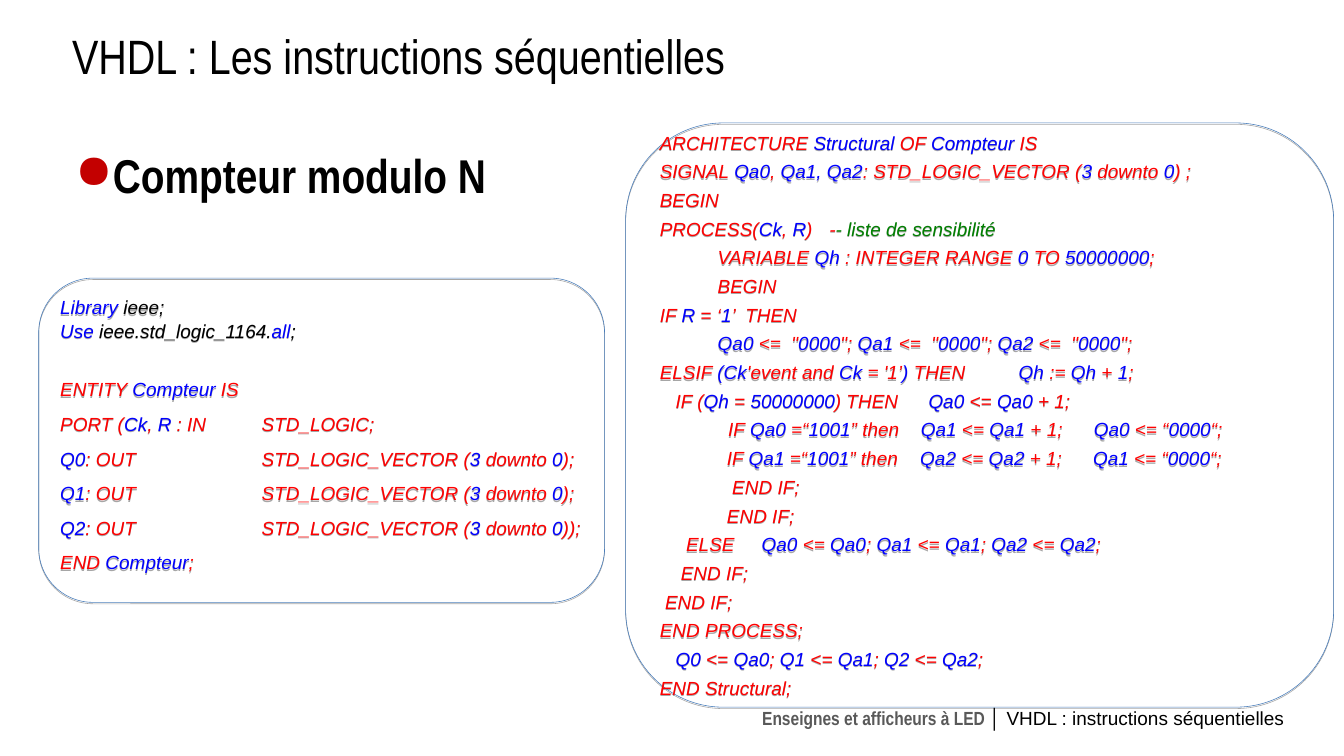
from itertools import cycle

from lxml import etree
from pptx import Presentation
from pptx import util as u
from pptx.dml.color import RGBColor
from pptx.enum import shapes, text
from pptx.oxml.ns import qn

INK = {"R": "FF0000", "B": "0000FF", "G": "008000", "K": "000000"}
PORT = "|: OUT\tSTD_LOGIC_VECTOR (|3| downto |0|"

# Each line: text with "|" at every colour change, then the colours taken in
# turn and the tab stops in cm where they differ from the usual ones.
ENTITY = [
    ("Library |ieee;", "BK"),
    ("Use |ieee.std_logic_1164.|all|;", "BK"),
    ("ENTITY |Compteur| IS",),
    ("PORT (|Ck|, |R| : IN\tSTD_LOGIC;", "RB", [9]),
    ("Q0" + PORT + ");", "BR", [9]),
    ("Q1" + PORT + ");", "BR", [9]),
    ("Q2" + PORT + "));", "BR", [9]),
    ("END |Compteur|;",),
]
ARCHI = [
    ("ARCHITECTURE |Structural| OF |Compteur| IS",),
    ("SIGNAL |Qa0|, |Qa1, Qa2|: STD_LOGIC_VECTOR (|3| downto |0|) ;",),
    ("BEGIN",),
    ("PROCESS(|Ck|, |R|)\t-|- liste de sensibilité", "RBRBRG", [7.57]),
    ("           VARIABLE |Qh| : INTEGER RANGE |0| TO |50000000|;",),
    ("           BEGIN",),
    ("IF |R| = ‘|1|’  THEN",),
    ('           |Qa0| <=  "|0000|"; |Qa1| <=  "|0000|"; |Qa2| <=  "|0000|";',),
    ("ELSIF |(Ck|'event and |Ck| = '1’|)| THEN\t|Qh| := |Qh| + |1|;", "RB", [16.03]),
    ("   IF (|Qh| = |50000000|) THEN\t|Qa0| <= |Qa0| + 1;", "RB", [12]),
    ("             IF |Qa0| =“|1001|” then\t|Qa1| <= |Qa1| + 1;\t|Qa0| <= “|0000|“;",
     "RB", [11.66, 19.38]),
    ("\tIF |Qa1| =“|1001|” then\t|Qa2| <= |Qa2| + 1;\t|Qa1| <= “|0000|“;",
     "RB", [3, 11.63, 19.35]),
    ("\t END IF;",),
    ("\tEND IF;",),
    ("     ELSE\t|Qa0| <= |Qa0|; |Qa1| <= |Qa1|; |Qa2| <= |Qa2|;", "RB", [4.55]),
    ("    END IF;",),
    (" END IF;",),
    ("END PROCESS;",),
    ("   |Q0| <= |Qa0|; |Q1| <= |Qa1|; |Q2| <= |Qa2|;",),
    ("END Structural;",),
]


def tint(code):
    return RGBColor.from_string(code)


def child(node, tag, **attrs):
    return etree.SubElement(node, qn(tag), {k: str(v) for k, v in attrs.items()})


class Deck:
    head, body = "Arial Narrow", "Arial"

    def __init__(self, wide, high):
        self.file = Presentation()
        self.file.slide_width, self.file.slide_height = u.Cm(wide), u.Cm(high)
        self.slide = self.file.slides.add_slide(self.file.slide_layouts[6])

    def run(self, para, words, size, font, color, bold=False, slant=False):
        run = para.add_run()
        run.text = words
        face = run.font
        face.size, face.name = u.Pt(size), font
        face.bold, face.italic = bold, slant
        face.color.rgb = tint(color)

    def box(self, left, top, wide, high, pad=(0, 0)):
        """Add a wrapping text box and return its first paragraph."""
        area = [u.Cm(n) for n in (left, top, wide, high)]
        frame = self.slide.shapes.add_textbox(*area).text_frame
        frame.word_wrap = True
        frame.margin_left = frame.margin_right = u.Cm(pad[0])
        frame.margin_top = frame.margin_bottom = u.Cm(pad[1])
        return frame.paragraphs[0]

    def bullet(self, para, mark, color, left, hang):
        props = para._p.get_or_add_pPr()
        props.set("marL", str(u.Cm(left)))
        props.set("indent", str(-u.Cm(hang)))
        child(child(props, "a:buClr"), "a:srgbClr", val=color)
        child(props, "a:buChar", char=mark)

    def tabs(self, para, stops):
        row = child(para._p.get_or_add_pPr(), "a:tabLst")
        for stop in stops:
            child(row, "a:tab", pos=u.Cm(stop), algn="l")

    def panel(self, left, top, wide, high):
        """Add an outlined round box with a soft shadow; return its text frame."""
        area = [u.Cm(n) for n in (left, top, wide, high)]
        shape = self.slide.shapes.add_shape(
            shapes.MSO_SHAPE.ROUNDED_RECTANGLE, *area)
        shape.adjustments[0] = 0.167
        shape.fill.background()
        shape.line.color.rgb = tint("4A7EBB")
        shape.line.width = u.Pt(0.75)
        shape.shadow.inherit = False
        glow = child(shape._element.spPr.find(qn("a:effectLst")), "a:outerShdw",
                     blurRad=0, dist=u.Pt(1.8), dir=5400000, rotWithShape=0)
        child(child(glow, "a:srgbClr", val="000000"), "a:alpha", val=35000)
        shape.text_frame.word_wrap = True
        shape.text_frame.vertical_anchor = text.MSO_ANCHOR.MIDDLE
        return shape.text_frame

    def code(self, frame, lines, gap):
        for i, (words, inks, stops) in enumerate(
                (*line, "RB", [3])[:3] if len(line) == 1 else (*line, [3])[:3]
                for line in lines):
            para = frame.paragraphs[0] if i == 0 else frame.add_paragraph()
            para.alignment = text.PP_ALIGN.LEFT
            self.tabs(para, stops)
            para.line_spacing = u.Pt(28.8)
            para.space_before = u.Pt(gap if i else 0)
            for part, ink in zip(words.split("|"), cycle(inks)):
                if part:
                    self.run(para, part, 24, self.body, INK[ink], slant=True)


def main():
    deck = Deck(60.02, 33.76)

    foot = deck.box(32.41, 31.27, 25.53, 1.7, (0.6, 0.3))
    foot.alignment = text.PP_ALIGN.RIGHT
    deck.run(foot, "Enseignes et afficheurs à LED ", 24, deck.head, "595959", bold=True)
    deck.run(foot, "│ ", 24, deck.body, INK["K"], bold=True)
    deck.run(foot, "VHDL : instructions séquentielles", 24, deck.body, INK["K"])

    deck.code(deck.panel(27.94, 5.49, 31.62, 26.09), ARCHI, 7.5)

    ports = deck.panel(1.73, 12.42, 25.27, 14.48)
    deck.code(ports, ENTITY, 15)
    for para in ports.paragraphs[:2]:
        para.line_spacing = u.Pt(15)
    ports.paragraphs[2].space_before = u.Pt(45)

    topic = deck.box(1.93, 6.53, 26.01, 2.82)
    deck.bullet(topic, "●", "C30000", 3, 1.57)
    deck.run(topic, "Compteur modulo N", 60, deck.head, INK["K"], bold=True)

    title = deck.box(2.62, 0.89, 50.83, 4.09, (0.6, 0.3))
    deck.run(title, "VHDL : Les instructions séquentielles", 61, deck.head, INK["K"])

    deck.file.save("out.pptx")


if __name__ == "__main__":
    main()
